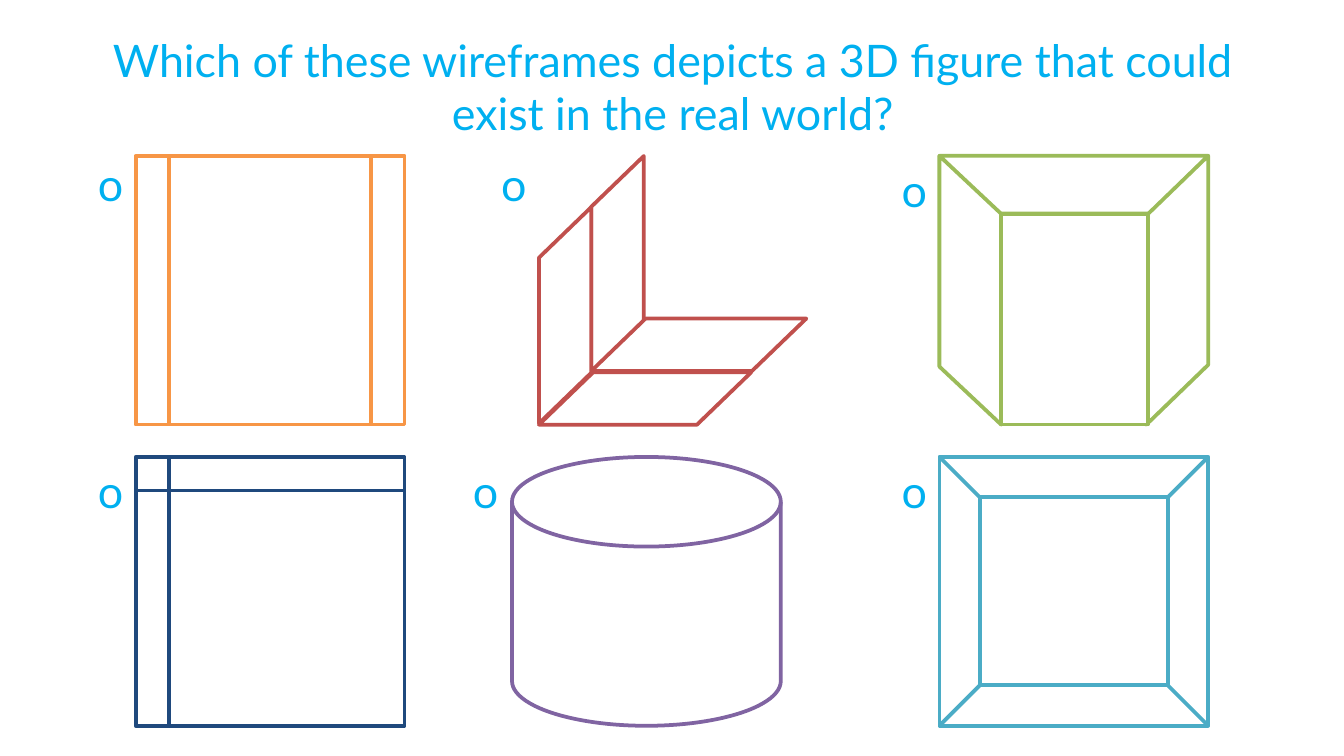
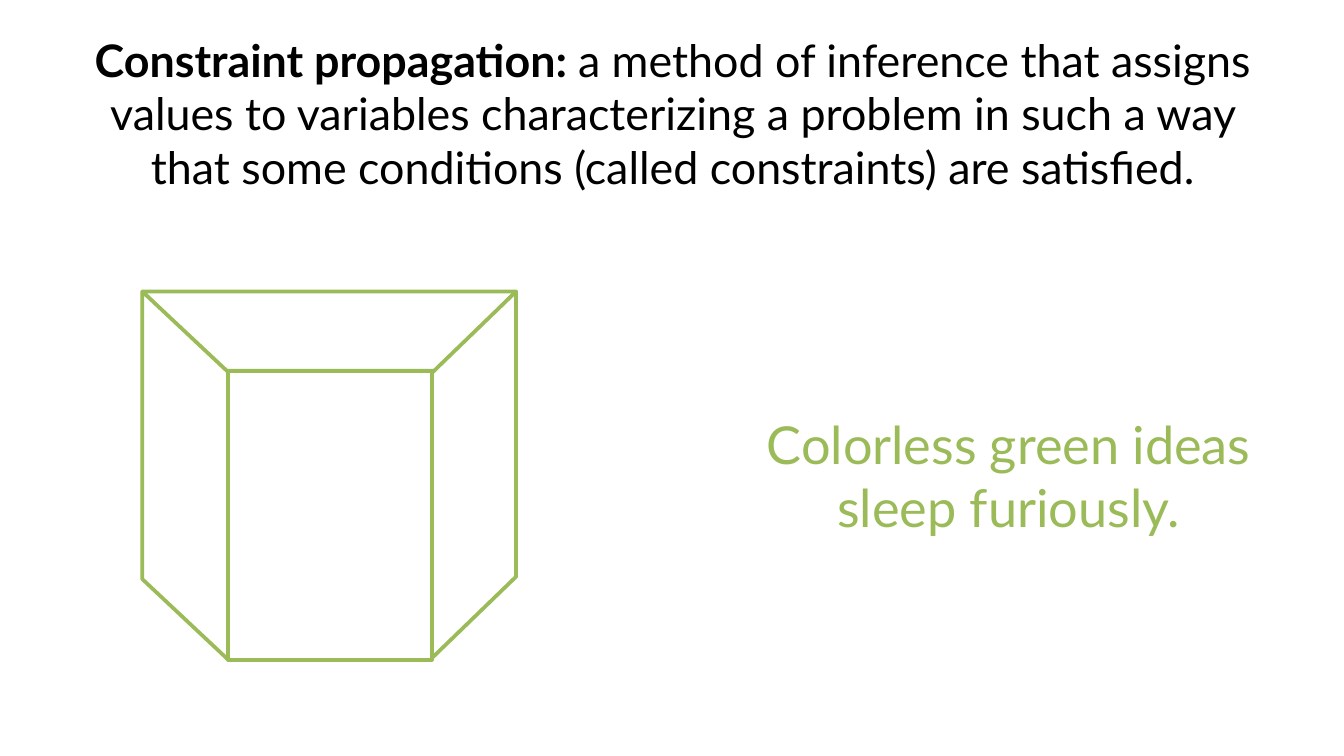
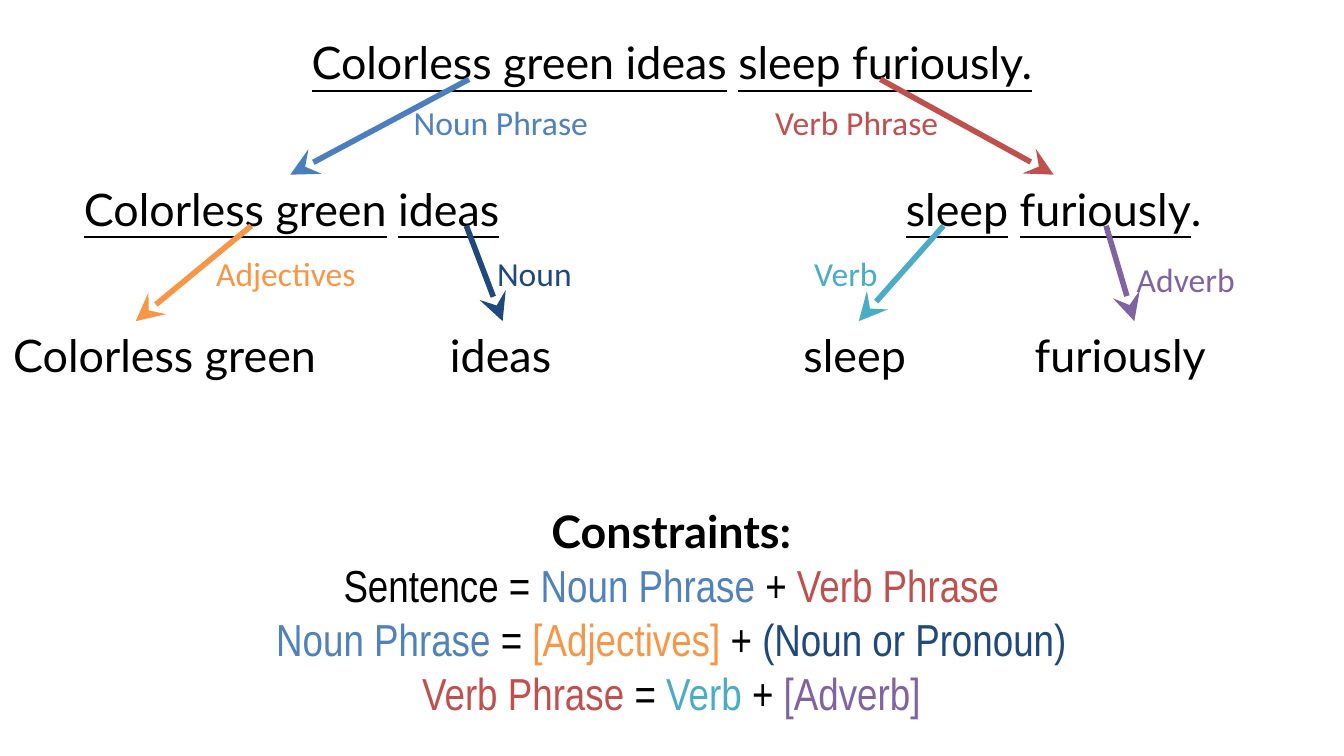
"""Build three slides on constraint propagation in wireframes and sentences."""
import pptx
import pptx.dml.color
import pptx.enum.shapes
import pptx.enum.text
import pptx.oxml.ns
import pptx.util
from lxml import etree

Inches = pptx.util.Inches
Pt = pptx.util.Pt
RGB = pptx.dml.color.RGBColor.from_string
SHAPE = pptx.enum.shapes.MSO_SHAPE
STRAIGHT = pptx.enum.shapes.MSO_CONNECTOR.STRAIGHT
ALIGN = pptx.enum.text.PP_ALIGN
qn = pptx.oxml.ns.qn

COLORS = {
    "black": "000000", "white": "FFFFFF", "sky": "00B0F0", "orange": "F79646",
    "navy": "1F497D", "red": "C0504D", "green": "9BBB59", "purple": "8064A2",
    "teal": "4BACC6", "blue": "4F81BD", "steel": "4B7EBC",
}


def draw(shapes, kind, box, color, filled=True, rot=0, flips=(), adj=None):
    sp = shapes.add_shape(kind, *[Inches(v) for v in box])
    sp.shadow.inherit = False
    sp.rotation = rot
    for flip in flips:
        sp.element.spPr.xfrm.set(flip, "1")
    if adj:
        sp.adjustments[0] = adj
    if filled:
        sp.fill.solid()
        sp.fill.fore_color.rgb = RGB(COLORS["white"])
    else:
        sp.fill.background()
    sp.line.color.rgb = RGB(COLORS[color])
    sp.line.width = Pt(2)


def write(sp, box, lines, size=24, font="Lato", centered=True):
    sp.left, sp.top, sp.width, sp.height = [Inches(v) for v in box]
    tf = sp.text_frame
    tf.word_wrap = centered
    tf.auto_size = pptx.enum.text.MSO_AUTO_SIZE.SHAPE_TO_FIT_TEXT
    tf.vertical_anchor = pptx.enum.text.MSO_ANCHOR.TOP
    for i, runs in enumerate(lines):
        p = tf.add_paragraph() if i else tf.paragraphs[0]
        p.alignment = ALIGN.CENTER if centered else ALIGN.LEFT
        for text, color, style in runs:
            r = p.add_run()
            r.text = text
            r.font.size = Pt(size)
            r.font.name = font
            r.font.color.rgb = RGB(COLORS[color])
            if style == "bold":
                r.font.bold = True
            elif style == "underline":
                r.font.underline = True


prs = pptx.Presentation()
prs.slide_width = Inches(10)
prs.slide_height = prs.slide_width * 9 // 16
title_only, title_and_body = prs.slide_layouts[5], prs.slide_layouts[1]

s = prs.slides.add_slide(title_only)
quiz_shapes = s.shapes
write(s.shapes.title, (0.51, 0.19, 8.99, 0.91), [[
    ("Which of these wireframes depicts a 3D figure that could exist in the real world?", "sky", "")]])

for kind, left, top, color, filled, rot, adj in [
    (SHAPE.FLOWCHART_PREDEFINED_PROCESS, 1.01, 1.16, "orange", False, 0, None),
    (SHAPE.FLOWCHART_INTERNAL_STORAGE, 1.01, 3.4, "navy", False, 0, None),
    (SHAPE.FLOWCHART_DIRECT_ACCESS_STORAGE, 3.81, 3.4, "purple", True, 270, None),
    (SHAPE.BEVEL, 6.99, 3.4, "teal", False, 0, 0.15),
]:
    draw(s.shapes, kind, (left, top, 2, 2), color, filled, rot, adj=adj)

for left, top, width, rot, flips, adj in [
    (4.01, 2.77, 1.58, 0, (), 1.036),
    (3.79, 1.77, 1.61, 90, ("flipV",), 0.967),
    (4.4, 2.37, 1.6, 0, (), 1.036),
    (3.4, 2.15, 1.61, 90, ("flipV",), 0.967),
]:
    draw(s.shapes, SHAPE.PARALLELOGRAM, (left, top, width, 0.39), "red", rot=rot, flips=flips, adj=adj)

for left, top in [(0.63, 1.12), (0.63, 3.4), (3.63, 1.12), (3.42, 3.4), (6.61, 1.16), (6.61, 3.4)]:
    box = (left, top, 0.38, 0.5)
    write(s.shapes.add_textbox(0, 0, 0, 0), box, [[("ο", "sky", "")]], centered=False)

s = prs.slides.add_slide(title_only)
write(s.shapes.title, (0.51, 0.19, 8.99, 1.72), [[
    ("Constraint propagation: ", "black", "bold"),
    ("a method of inference that assigns values to variables characterizing a problem in such a way "
     "that some conditions (called constraints) are satisfied.", "black", "")]])
write(s.shapes.add_textbox(0, 0, 0, 0), (5.26, 3.02, 4.49, 1.04),
      [[("Colorless green ideas sleep furiously.", "green", "")]], size=28)

prism_faces = [
    (SHAPE.TRAPEZOID, (0, 0, 2, 0.43), 0, ("flipV",), 0.997),
    (SHAPE.PARALLELOGRAM, (1.54, 0, 0.46, 2), 90, ("flipV",), 0.967),
    (SHAPE.PARALLELOGRAM, (0, 0, 0.46, 2), 270, ("flipH", "flipV"), 0.939),
    (SHAPE.RECTANGLE, (0.46, 0.43, 1.09, 1.57), 0, (), None),
]
prism_group = s.shapes.add_group_shape()
for shapes, left, top, sx, sy in [(quiz_shapes, 6.99, 1.16, 1, 1), (prism_group.shapes, 1.06, 2.17, 1.39, 1.37)]:
    for kind, (x, y, w, h), rot, flips, adj in prism_faces:
        x, y, w, h = left + x * sx, top + y * sy, w * sx, h * sy
        if rot:
            x, y, w, h = x + (w - h) / 2, y + (h - w) / 2, h, w
        draw(shapes, kind, (x, y, w, h), "green", rot=rot, flips=flips, adj=adj)

s = prs.slides.add_slide(title_and_body)
write(s.shapes.title, (1.01, 0.21, 7.98, 0.5), [[
    ("Colorless green ideas", "black", "underline"), (" ", "black", ""),
    ("sleep furiously.", "black", "underline")]])

body = s.placeholders[1]
write(body, (0.25, 3.7, 9.49, 1.72), [
    [("Constraints:", "black", "bold")],
    [("Sentence =", "black", ""), (" Noun Phrase ", "blue", ""), ("+ ", "black", ""),
     ("Verb Phrase", "red", "")],
    [("Noun Phrase ", "blue", ""), ("= ", "black", ""), ("[Adjectives] ", "orange", ""),
     ("+ ", "black", ""), ("(Noun or Pronoun)", "navy", "")],
    [("Verb Phrase ", "red", ""), ("= ", "black", ""), ("Verb ", "teal", ""),
     ("+ ", "black", ""), ("[Adverb]", "purple", "")],
], font="Arial Narrow")
body.text_frame.paragraphs[0].runs[0].font.name = "Lato"
for p in body.text_frame.paragraphs:
    p.space_before = Pt(0)
    pPr = p._p.get_or_add_pPr()
    pPr.set("marL", "0")
    pPr.set("indent", "0")
    etree.SubElement(pPr, qn("a:buNone"))

for left, runs in [
    (0.3, [("Colorless green", "black", "underline"), (" ", "black", ""), ("ideas", "black", "underline")]),
    (5.97, [("sleep", "black", "underline"), (" ", "black", ""), ("furiously", "black", "underline"),
            (".", "black", "")]),
]:
    write(s.shapes.add_textbox(0, 0, 0, 0), (left, 1.3, 3.74, 0.5), [runs])

for left, width, word in [(0, 2.72, "Colorless green"), (3.25, 1.04, "ideas"),
                          (5.88, 1.01, "sleep"), (7.6, 1.64, "furiously")]:
    box = (left, 2.39, width, 0.5)
    write(s.shapes.add_textbox(0, 0, 0, 0), box, [[(word, "black", "")]], centered=False)

for label, color, line_color, x1, x2, y, left, top, width in [
    ("Noun Phrase", "blue", "steel", 3.49, 2.16, 0.59, 2.98, 0.71, 1.51),
    ("Verb Phrase", "red", "red", 6.55, 7.84, 0.59, 5.67, 0.71, 1.43),
    ("Adjectives", "orange", "orange", 1.87, 1.01, 1.68, 1.51, 1.83, 1.25),
    ("Noun", "navy", "navy", 3.47, 3.74, 1.68, 3.6, 1.83, 0.76),
    ("Verb", "teal", "teal", 7.02, 6.39, 1.68, 5.96, 1.83, 0.68),
    ("Adverb", "purple", "purple", 8.23, 8.44, 1.68, 8.36, 1.88, 0.94),
]:
    arrow = s.shapes.add_connector(STRAIGHT, Inches(x1), Inches(y), Inches(x2), Inches(y + 0.71))
    arrow.line.color.rgb = RGB(COLORS[line_color])
    arrow.line.width = Pt(3)
    etree.SubElement(arrow.line._get_or_add_ln(), qn("a:tailEnd"), type="stealth", w="lg", len="lg")
    etree.SubElement(arrow.element.spPr, qn("a:effectLst"))
    write(s.shapes.add_textbox(0, 0, 0, 0), (left, top, width, 0.4), [[(label, color, "")]],
          size=18, font="Calibri", centered=False)

prs.save("out.pptx")
